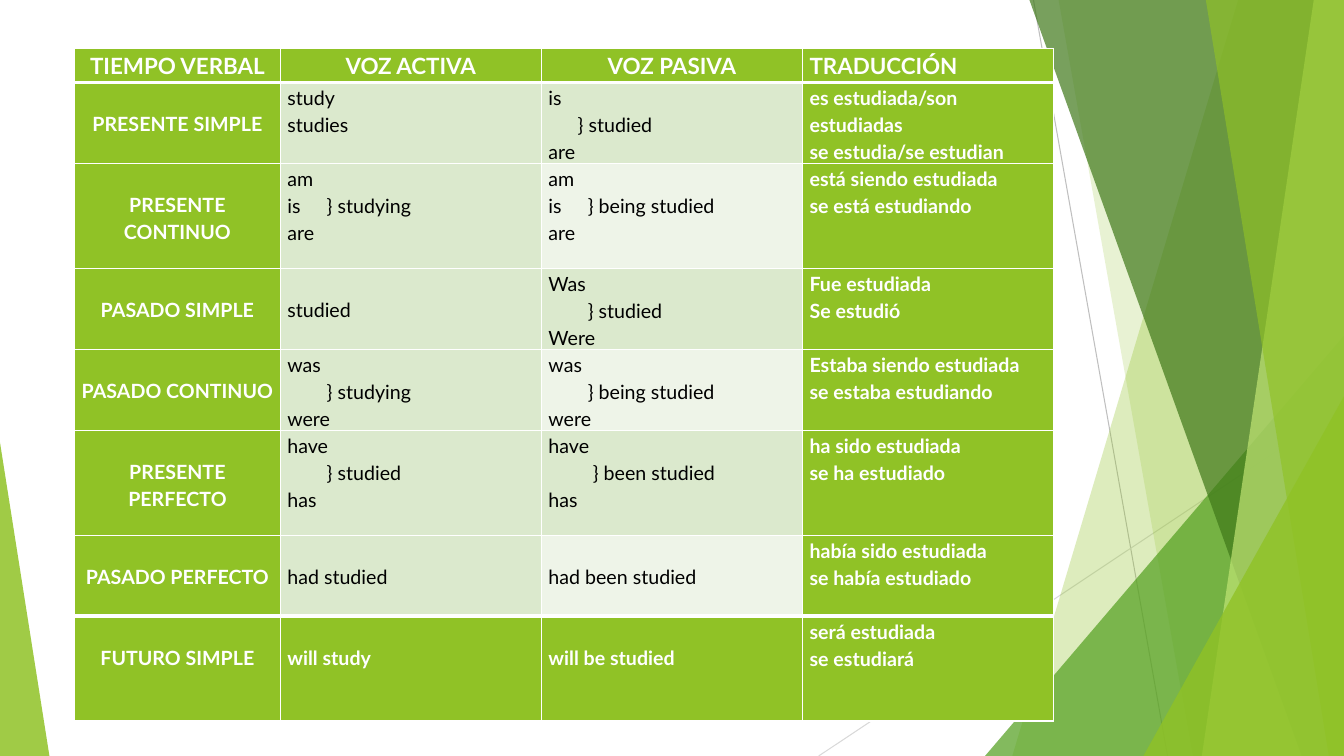
"""Slide with a table of English verb tenses in active and passive voice."""
import pptx
import pptx.util
import pptx.dml.color
import pptx.enum.shapes
import pptx.enum.text
from lxml import etree
from pptx.oxml import ns
from pptx.util import Inches, Pt

THEME = {
    "font": "Lato", "header_size": 16, "body_size": 14,
    "green": "90C226", "mid_green": "54A021", "dark_green": "3F7819", "lime": "C0E474",
    "pale": "DBE9CD", "paler": "EEF4E8", "white": "FFFFFF", "black": "000000",
    "steep_line": "BFBFBF", "shallow_line": "D9D9D9",
}


def rgb(name):
    return pptx.dml.color.RGBColor.from_string(THEME[name])


def paint(facet, color, opacity):
    facet.shadow.inherit = False
    facet.line.fill.background()
    facet.fill.solid()
    facet.fill.fore_color.rgb = rgb(color)
    tint = facet.fill._xPr.find(ns.qn("a:solidFill"))[0]
    etree.SubElement(tint, ns.qn("a:alpha"), val=str(opacity * 1000))


deck = pptx.Presentation()
deck.slide_width, deck.slide_height = Inches(13.33), Inches(7.5)
slide = deck.slides.add_slide(deck.slide_layouts[6])
shapes = slide.shapes

for x1, y1, x2, y2, color in [
    (10.25, 0, 11.58, 7.5, "steep_line"),
    (13.33, 4.03, 8.12, 7.5, "shallow_line"),
]:
    ray = shapes.add_connector(pptx.enum.shapes.MSO_CONNECTOR.STRAIGHT,
                               Inches(x1), Inches(y1), Inches(x2), Inches(y2))
    ray.line.color.rgb = rgb(color)
    ray.line.width = Pt(0.75)
    etree.SubElement(ray._element.spPr, ns.qn("a:effectLst"))

# (kind, geometry, color, opacity)
facets = [
    ("band", (12.28, 10.04), "green", 30),
    ("band", (10.5, 11.83), "green", 20),
    ("triangle", (9.77, 3.33, 3.56, 4.17, 1), "mid_green", 72),
    ("band", (10.21, 12.91), "dark_green", 70),
    ("band", (13.03, 11.92), "lime", 70),
    ("band", (11.96, 13.18), "green", 65),
    ("triangle", (11.34, 3.93, 1.99, 3.57, 1), "green", 80),
    ("triangle", (0, 4.39, 0.49, 3.11, 0), "green", 85),
]
for kind, geometry, color, opacity in facets:
    if kind == "band":
        top_x, bottom_x = geometry
        outline = shapes.build_freeform(Inches(top_x), 0)
        outline.add_line_segments([
            (Inches(13.33), 0), (Inches(13.33), Inches(7.5)), (Inches(bottom_x), Inches(7.5)),
        ])
        facet = outline.convert_to_shape()
    else:
        left, top, width, height, apex = geometry
        facet = shapes.add_shape(pptx.enum.shapes.MSO_SHAPE.ISOSCELES_TRIANGLE,
                                 Inches(left), Inches(top), Inches(width), Inches(height))
        facet.adjustments[0] = apex
    paint(facet, color, opacity)

tenses = [
    ["TIEMPO VERBAL", "VOZ ACTIVA", "VOZ PASIVA", "TRADUCCIÓN"],
    ["PRESENTE SIMPLE", "study\nstudies", "is\n} studied\nare",
     "es estudiada/son estudiadas\nse estudia/se estudian"],
    ["PRESENTE CONTINUO", "am\nis\t} studying\nare", "am\nis\t} being studied\nare",
     "está siendo estudiada\nse está estudiando"],
    ["PASADO SIMPLE", "studied", "Was\n} studied\nWere", "Fue estudiada\nSe estudió"],
    ["PASADO CONTINUO", "was\n} studying\nwere", "was\n} being studied\nwere",
     "Estaba siendo estudiada\nse estaba estudiando"],
    ["PRESENTE PERFECTO", "have\n} studied\nhas", "have\n} been studied\nhas",
     "ha sido estudiada\nse ha estudiado"],
    ["PASADO PERFECTO", "had studied", "had been studied",
     "había sido estudiada\nse había estudiado"],
    ["FUTURO SIMPLE", "will study", "will be studied", "será estudiada\nse estudiará"],
]
column_widths = [2.04, 2.59, 2.59, 2.49]
row_heights = [0.34, 0.8, 1.04, 0.8, 0.8, 1.04, 0.8, 1.04]
brace_indents = {(1, 2): 0.29, (5, 2): 0.44}
last = len(tenses) - 1

table = shapes.add_table(len(tenses), len(column_widths), Inches(0.74), Inches(0.48),
                         Inches(sum(column_widths)), Inches(sum(row_heights))).table
table.first_row = table.horz_banding = False
for column, width in zip(table.columns, column_widths):
    column.width = Inches(width)
for row, height in zip(table.rows, row_heights):
    row.height = Inches(height)

for r, tense in enumerate(tenses):
    for c, wording in enumerate(tense):
        cell = table.cell(r, c)
        lines = wording.split("\n")
        header = r == 0
        is_form = 0 < r < last and c in (1, 2)
        lowered = not header and (c == 0 or len(lines) == 1)
        cell.margin_left = cell.margin_right = Inches(0.07)
        cell.margin_top = Inches(0.26 if lowered else 0)
        cell.margin_bottom = 0

        thick = {"lnT": r in (1, last), "lnB": r in (0, last - 1)}
        for side in ("lnL", "lnR", "lnT", "lnB"):
            border = etree.SubElement(cell._tc.get_or_add_tcPr(), ns.qn("a:" + side),
                                      w=str(Pt(3 if thick.get(side) else 1)))
            ink = etree.SubElement(border, ns.qn("a:solidFill"))
            etree.SubElement(ink, ns.qn("a:srgbClr"), val=THEME["white"])
        cell.fill.solid()
        form_fill = "paler" if c == 2 and r % 2 == 0 else "pale"
        cell.fill.fore_color.rgb = rgb(form_fill if is_form else "green")

        centred = c == 0 or (header and c < 3)
        indent = Inches(brace_indents.get((r, c), 0.39))
        for i, line in enumerate(lines):
            paragraph = cell.text_frame.paragraphs[0] if i == 0 else cell.text_frame.add_paragraph()
            paragraph.line_spacing = 1.15
            align = pptx.enum.text.PP_ALIGN
            paragraph.alignment = align.CENTER if centred else align.LEFT
            properties = paragraph._p.get_or_add_pPr()
            if line.startswith("}"):
                properties.set("marL", str(indent))
            elif "\t" in line:
                tabs = etree.SubElement(properties, ns.qn("a:tabLst"))
                etree.SubElement(tabs, ns.qn("a:tab"), pos=str(indent), algn="l")
            run = paragraph.add_run()
            run.text = line
            run.font.name = THEME["font"]
            run.font.size = Pt(THEME["header_size" if header else "body_size"])
            run.font.bold = not is_form
            run.font.color.rgb = rgb("black" if is_form else "white")

deck.save("out.pptx")
